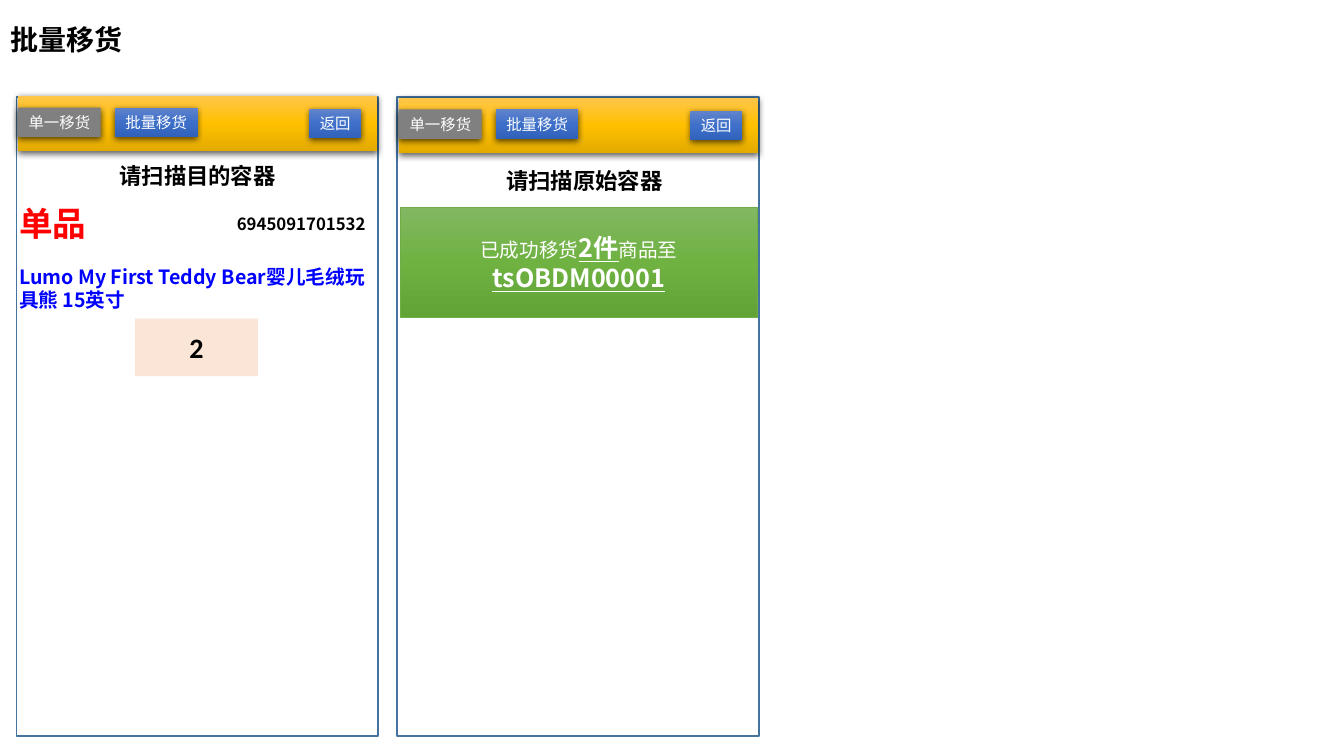
from dataclasses import dataclass

from lxml.etree import SubElement
from pptx import Presentation
from pptx.dml.color import RGBColor
from pptx.enum.lang import MSO_LANGUAGE_ID as LANG
from pptx.enum.shapes import MSO_SHAPE as SHAPE
from pptx.enum.text import MSO_ANCHOR as ANCHOR, PP_ALIGN as ALIGN
from pptx.oxml.ns import qn
from pptx.util import Cm, Pt


@dataclass(frozen=True)
class Theme:
    font: str = "Noto Sans CJK SC"
    title_font: str = "Arial"
    number_font: str = "Calibri"
    black: str = "000000"
    white: str = "FFFFFF"
    red: str = "FF0000"
    link_blue: str = "0000FF"
    frame: str = "43739E"
    gray: str = "808080"
    peach: str = "FBE5D6"
    green_line: str = "70AD47"
    gold: tuple = ("FFC64B", "FFC000", "E3AB00")
    blue: tuple = ("6183CB", "3E70CA", "3062BB")
    green: tuple = ("81B861", "6FB242", "62A336")
    button_size: int = 11
    code_size: int = 12
    body_size: int = 14
    prompt_size: int = 16
    strong_size: int = 18
    title_size: int = 20
    tag_size: int = 24


T = Theme()


def add_run(p, text, size, color, bold=False, underline=False, font=T.font):
    r = p.add_run()
    r.text = text
    f = r.font
    f.size, f.bold, f.underline, f.name = Pt(size), bold, underline, font
    f.color.rgb = RGBColor.from_string(color)
    f.language_id = LANG.SIMPLIFIED_CHINESE
    east_asian = SubElement(r._r.rPr, qn("a:ea"), typeface=T.font)
    r._r.rPr.find(qn("a:latin")).addnext(east_asian)


def set_gradient(fill, sp, colors):
    """Fill from top to bottom with evenly spaced colours."""
    fill.gradient()
    fill.gradient_angle = 270
    stops = sp._element.spPr.find(qn("a:gradFill")).find(qn("a:gsLst"))
    stops.clear()
    for i, color in enumerate(colors):
        position = 100000 * i // (len(colors) - 1)
        stop = SubElement(stops, qn("a:gs"), pos=str(position))
        SubElement(stop, qn("a:srgbClr"), val=color)


def add_shadow(sp):
    effects = sp._element.spPr.find(qn("a:effectLst"))
    shadow = SubElement(effects, qn("a:outerShdw"), blurRad=str(Pt(4.5)),
                        dist=str(Pt(1.5)), dir="5400000", algn="ctr",
                        rotWithShape="0")
    color = SubElement(shadow, qn("a:srgbClr"), val=T.black)
    SubElement(color, qn("a:alpha"), val="63000")


def add_box(slide, x, y, w, h, fill=None, line=None, line_width=1,
            shadow=False):
    sp = slide.shapes.add_shape(SHAPE.RECTANGLE, Cm(x), Cm(y), Cm(w), Cm(h))
    sp.shadow.inherit = False
    if fill is None:
        sp.fill.background()
    elif isinstance(fill, tuple):
        set_gradient(sp.fill, sp, fill)
    else:
        sp.fill.solid()
        sp.fill.fore_color.rgb = RGBColor.from_string(fill)
    if line:
        sp.line.color.rgb = RGBColor.from_string(line)
        sp.line.width = Pt(line_width)
    else:
        sp.line.fill.background()
    if shadow:
        add_shadow(sp)
    sp.text_frame.vertical_anchor = ANCHOR.MIDDLE
    sp.text_frame.paragraphs[0].alignment = ALIGN.CENTER
    return sp


def add_button(slide, x, y, w, text, fill):
    sp = add_box(slide, x, y, w, 0.74, fill, shadow=True)
    sp.text_frame.word_wrap = False
    add_run(sp.text_frame.paragraphs[0], text, T.button_size, T.white)


def add_label(slide, x, y, w, h, text, size, color, align=ALIGN.LEFT):
    tf = slide.shapes.add_textbox(Cm(x), Cm(y), Cm(w), Cm(h)).text_frame
    tf.word_wrap = True
    p = tf.paragraphs[0]
    p.alignment = align
    add_run(p, text, size, color, bold=True)


def add_screen(slide, x, y, prompt, prompt_x, prompt_y):
    """Draw a handheld screen whose header bar starts at x, y."""
    add_box(slide, x - 0.05, 2.45, 9.12, 16.1, line=T.frame)
    add_box(slide, x, y, 9.04, 1.4, T.gold, shadow=True)
    add_button(slide, x, y + 0.3, 2.08, "单一移货", T.gray)
    add_button(slide, x + 2.44, y + 0.3, 2.08, "批量移货", T.blue)
    add_button(slide, x + 7.34, y + 0.34, 1.3, "返回", T.blue)
    add_label(slide, prompt_x, prompt_y, 9.04, 0.94, prompt,
              T.prompt_size, T.black, ALIGN.CENTER)


def add_item(slide):
    add_label(slide, 0.23, 4.98, 2.67, 1.27, "单品", T.tag_size, T.red)
    add_label(slide, 5.72, 5.26, 4.85, 0.76, "6945091701532",
              T.code_size, T.black)
    add_label(slide, 0.23, 6.55, 9.6, 1.45,
              "Lumo My First Teddy Bear婴儿毛绒玩具熊 15英寸",
              T.body_size, T.link_blue)
    quantity = add_box(slide, 3.4, 8.03, 3.1, 1.45, T.peach)
    add_run(quantity.text_frame.paragraphs[0], "2", T.title_size, T.black,
            bold=True, font=T.number_font)


def add_success_message(slide):
    sp = add_box(slide, 10.08, 5.23, 9.02, 2.77, T.green, T.green_line, 0.5)
    p = sp.text_frame.paragraphs[0]
    add_run(p, "已成功移货", T.body_size, T.white)
    add_run(p, "2件", T.strong_size, T.white, bold=True, underline=True)
    add_run(p, "商品至", T.body_size, T.white)
    p = sp.text_frame.add_paragraph()
    p.alignment = ALIGN.CENTER
    add_run(p, "tsOBDM00001", T.strong_size, T.white, bold=True,
            underline=True)


def add_title(slide, text):
    title = slide.shapes.title
    title.left, title.top = Cm(0), Cm(0.56)
    title.width, title.height = Cm(29.21), Cm(0.97)
    title.text_frame.vertical_anchor = ANCHOR.MIDDLE
    p = title.text_frame.paragraphs[0]
    p.alignment, p.line_spacing = ALIGN.LEFT, 0.9
    add_run(p, text, T.title_size, T.black, bold=True, font=T.title_font)


def main():
    prs = Presentation()
    prs.slide_width, prs.slide_height = Cm(33.87), Cm(19.05)
    slide = prs.slides.add_slide(prs.slide_layouts[5])
    add_title(slide, "批量移货")
    add_screen(slide, 0.46, 2.41, "请扫描目的容器", 0.46, 3.96)
    add_item(slide)
    add_screen(slide, 10.06, 2.46, "请扫描原始容器", 10.21, 4.09)
    add_success_message(slide)
    prs.save("out.pptx")


if __name__ == "__main__":
    main()
